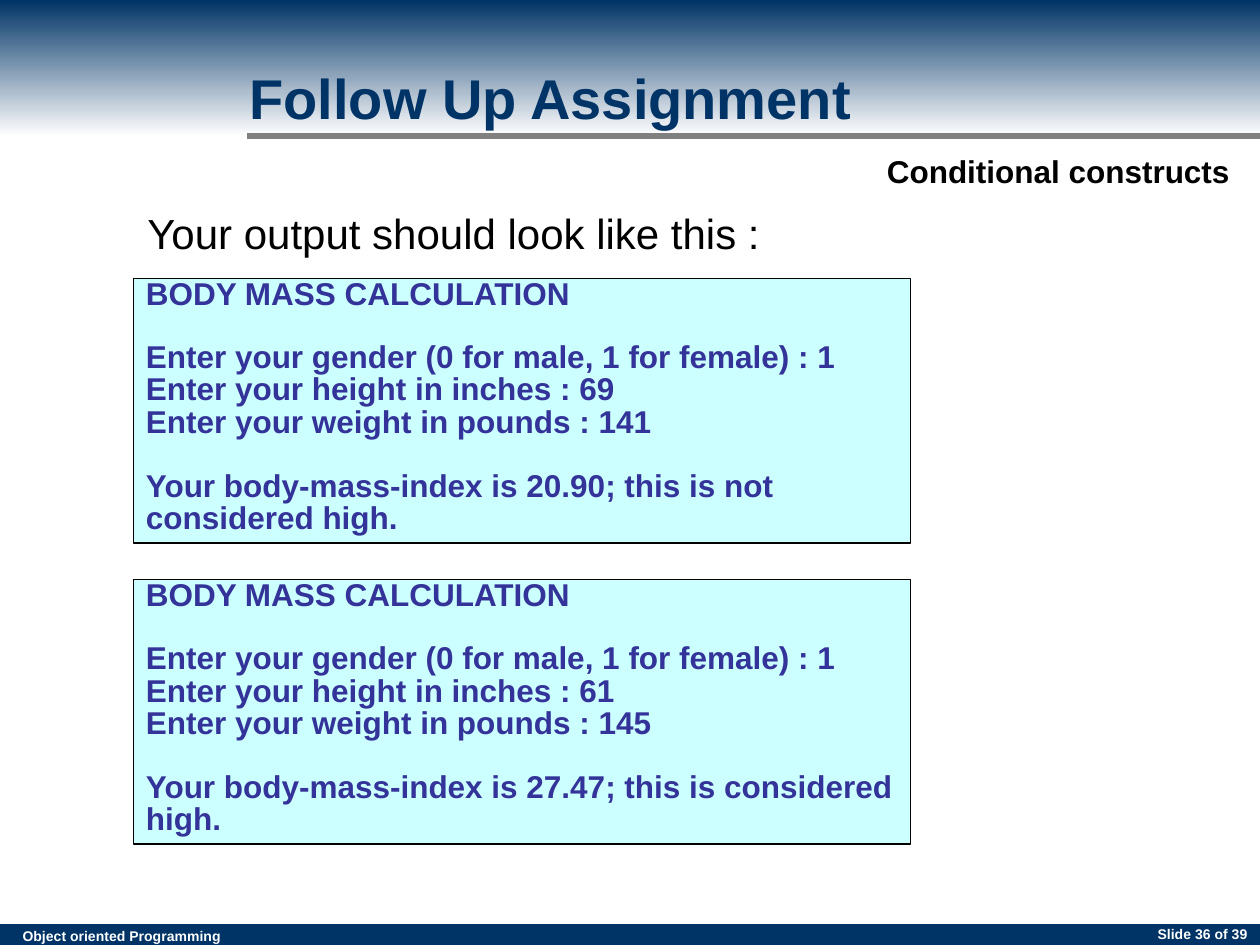
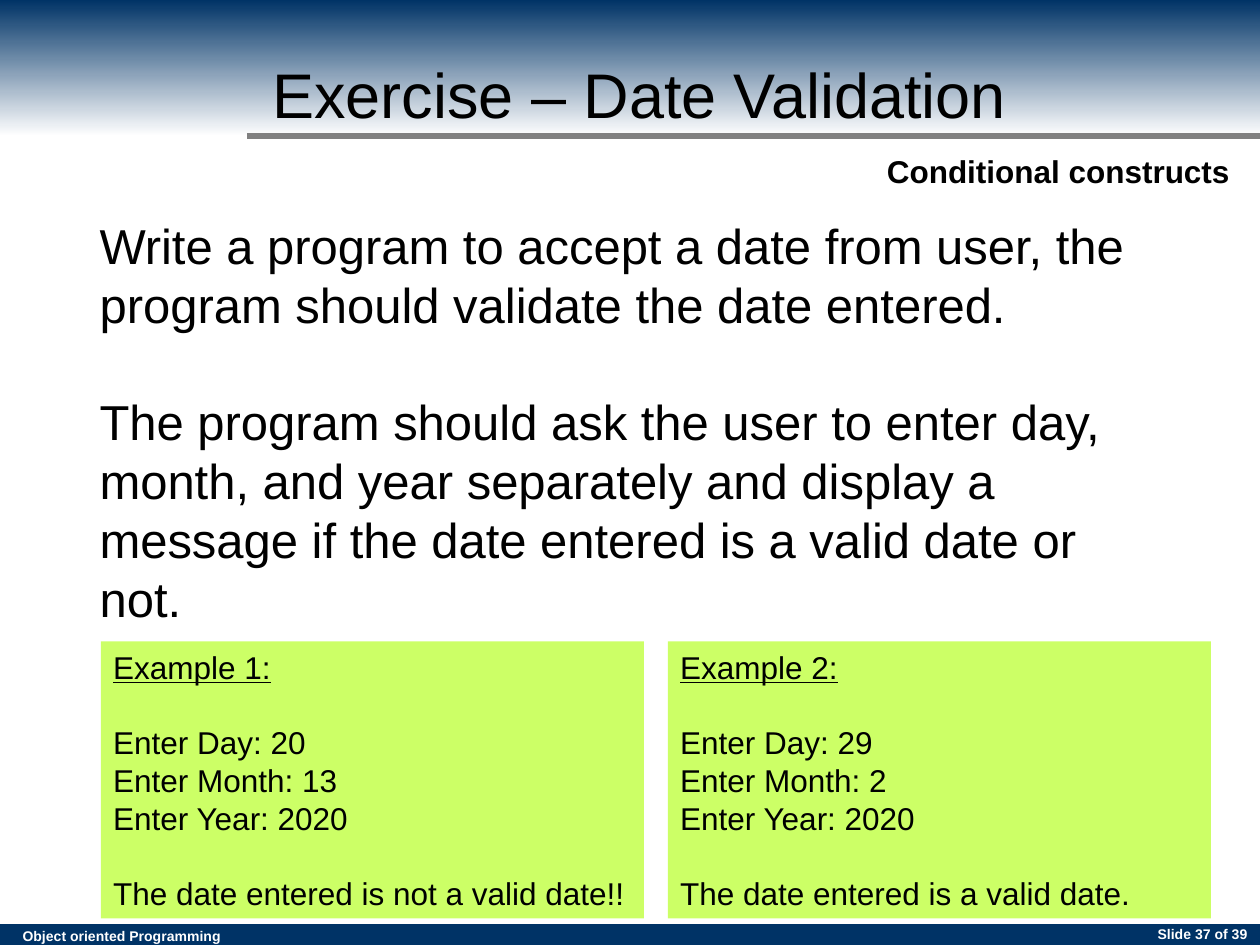
from lxml.etree import SubElement
from pptx import Presentation
from pptx.dml.color import RGBColor
from pptx.enum.shapes import MSO_CONNECTOR, MSO_SHAPE
from pptx.enum.text import MSO_ANCHOR, MSO_AUTO_SIZE, PP_ALIGN
from pptx.oxml.ns import qn
from pptx.util import Pt

NAVY, GRAY, WHITE, BLACK = "003366", "808080", "FFFFFF", "000000"
CYAN, INDIGO, LIME = "CCFFFF", "333399", "CCFF66"


def color(hex_string):
    return RGBColor.from_string(hex_string)


def write(shape, groups, size, ink, bold=False, wrap=True, gap=0, **paragraph_format):
    """Write groups of lines, with a gap in points above each group but the first."""
    frame = shape.text_frame
    frame_format = dict(word_wrap=wrap, auto_size=MSO_AUTO_SIZE.NONE,
                        vertical_anchor=MSO_ANCHOR.TOP)
    for name, value in frame_format.items():
        setattr(frame, name, value)
    paragraph = None
    for group_index, group in enumerate(groups):
        for line_index, line in enumerate(group):
            paragraph = frame.add_paragraph() if paragraph else frame.paragraphs[0]
            paragraph.text = line
            above = gap if group_index and not line_index else 0
            settings = dict(alignment=PP_ALIGN.LEFT, space_before=Pt(above))
            for name, value in (settings | paragraph_format).items():
                setattr(paragraph, name, value)
            font = paragraph.runs[0].font
            for name, value in dict(name="Arial", size=Pt(size), bold=bold).items():
                setattr(font, name, value)
            font.color.rgb = color(ink)


presentation = Presentation()
presentation.slide_width, presentation.slide_height = Pt(720), Pt(540)
layout = presentation.slide_layouts[1]

# Slides with their titles, introductions and numbers
pages = [
    dict(title="Follow Up Assignment", title_at=(135.4, 32.4, 359.3, 46.1),
         title_format=dict(size=32, ink=NAVY, bold=True),
         body=[["Your output should look like this :"]],
         body_at=(77, 115.2, 379.4, 36),
         body_format=dict(size=24, wrap=False, space_before=Pt(3)),
         number=36),
    dict(title="Exercise – Date Validation", title_at=(148.3, 28.1, 436.3, 50.4),
         title_format=dict(size=36, ink=BLACK),
         body=[["Write a program to accept a date from user, the program should "
                "validate the date entered."],
               ["The program should ask the user to enter day, month, and year "
                "separately and display a message if the date entered is a valid "
                "date or not."]],
         body_at=(49.7, 119.5, 619.9, 310.3),
         body_format=dict(size=28, gap=33.6),
         number=37),
]
for page in pages:
    slide = presentation.slides.add_slide(layout)
    title, body = slide.placeholders
    for placeholder, place in ((title, page["title_at"]), (body, page["body_at"])):
        for name, value in zip(("left", "top", "width", "height"), place):
            setattr(placeholder, name, Pt(value))
    write(title, [[page["title"]]], wrap=False, **page["title_format"])
    write(body, page["body"], ink=BLACK, **page["body_format"])
    for paragraph in body.text_frame.paragraphs:
        properties = paragraph._p.get_or_add_pPr()
        properties.set("marL", "0")
        properties.set("indent", "0")
        SubElement(properties, qn("a:buNone"))
    number = slide.shapes.add_textbox(Pt(552.2), Pt(525.6), Pt(167.8), Pt(19.4))
    write(number, [[f"Slide {page['number']} of 39"]], 8, WHITE, bold=True,
          alignment=PP_ALIGN.RIGHT)

assignment, exercise = presentation.slides

# Shared bands, rule and labels, drawn once and moved to the layout
shapes = assignment.shapes
footer_band = shapes.add_shape(MSO_SHAPE.RECTANGLE, 0, Pt(528), Pt(720), Pt(12))
footer_band.fill.solid()
footer_band.fill.fore_color.rgb = color(NAVY)

footer_label = shapes.add_textbox(Pt(5.8), Pt(526.3), Pt(141.8), Pt(17.3))
write(footer_label, [["Object oriented Programming"]], 8, WHITE, bold=True)

header_band = shapes.add_shape(MSO_SHAPE.RECTANGLE, 0, 0, Pt(720), Pt(77.8))
header_band.fill.gradient()
header_band.fill.gradient_angle = 270
for stop, position, tint in zip(header_band.fill.gradient_stops, (0, 1), (NAVY, WHITE)):
    stop.position = position
    stop.color.rgb = color(tint)

for band in (footer_band, header_band):
    band.shadow.inherit = False
    band.line.fill.background()

title_rule = shapes.add_connector(MSO_CONNECTOR.STRAIGHT, Pt(141.1), Pt(77.8),
                                  Pt(720), Pt(77.8))
title_rule.line.color.rgb = color(GRAY)
title_rule.line.width = Pt(3)
SubElement(title_rule._element.spPr, qn("a:effectLst"))

topic = shapes.add_textbox(Pt(499.7), Pt(83.5), Pt(210.2), Pt(28.8))
write(topic, [["Conditional constructs"]], 18, BLACK, bold=True, wrap=False)

shared = (footer_band, footer_label, header_band, title_rule, topic)
for index, shape in enumerate(shared):
    shape._element.xpath(".//p:cNvPr")[0].set("id", str(100 + index))
    layout.shapes._spTree.insert(2 + index, shape._element)

# Sample runs of the body mass program
results = [(69, 141, "20.90; this is not considered high."),
           (61, 145, "27.47; this is considered high.")]
for index, (height, weight, verdict) in enumerate(results):
    output = assignment.shapes.add_shape(MSO_SHAPE.RECTANGLE, Pt(76.3),
                                         Pt(159.1 + 172.1 * index), Pt(444.2), Pt(151.2))
    output.shadow.inherit = False
    output.fill.solid()
    output.fill.fore_color.rgb = color(CYAN)
    output.line.color.rgb = color(BLACK)
    output.line.width = Pt(0.75)
    write(output, [["BODY MASS CALCULATION"],
                   ["Enter your gender (0 for male, 1 for female) : 1",
                    f"Enter your height in inches : {height}",
                    f"Enter your weight in pounds : {weight}"],
                   [f"Your body-mass-index is {verdict}"]],
          18, INDIGO, bold=True, gap=18.3, line_spacing=0.85)
    heading = output.text_frame.paragraphs[0]
    heading.line_spacing, heading.space_before = 0.7, Pt(11.2)

# Examples of date validation
dates = [(20, 13, "not a valid date!!"), (29, 2, "a valid date.")]
for index, (day, month, verdict) in enumerate(dates):
    example = exercise.shapes.add_shape(MSO_SHAPE.RECTANGLE, Pt(57.6 + 324 * index),
                                        Pt(366.5), Pt(310.3), Pt(158.4))
    example.shadow.inherit = False
    example.fill.solid()
    example.fill.fore_color.rgb = color(LIME)
    example.line.fill.background()
    write(example, [[f"Example {index + 1}:"],
                    [f"Enter Day: {day}", f"Enter Month: {month}", "Enter Year: 2020"],
                    [f"The date entered is {verdict}"]],
          18, BLACK, gap=21.5)
    example.text_frame.paragraphs[0].runs[0].font.underline = True

presentation.save("out.pptx")
